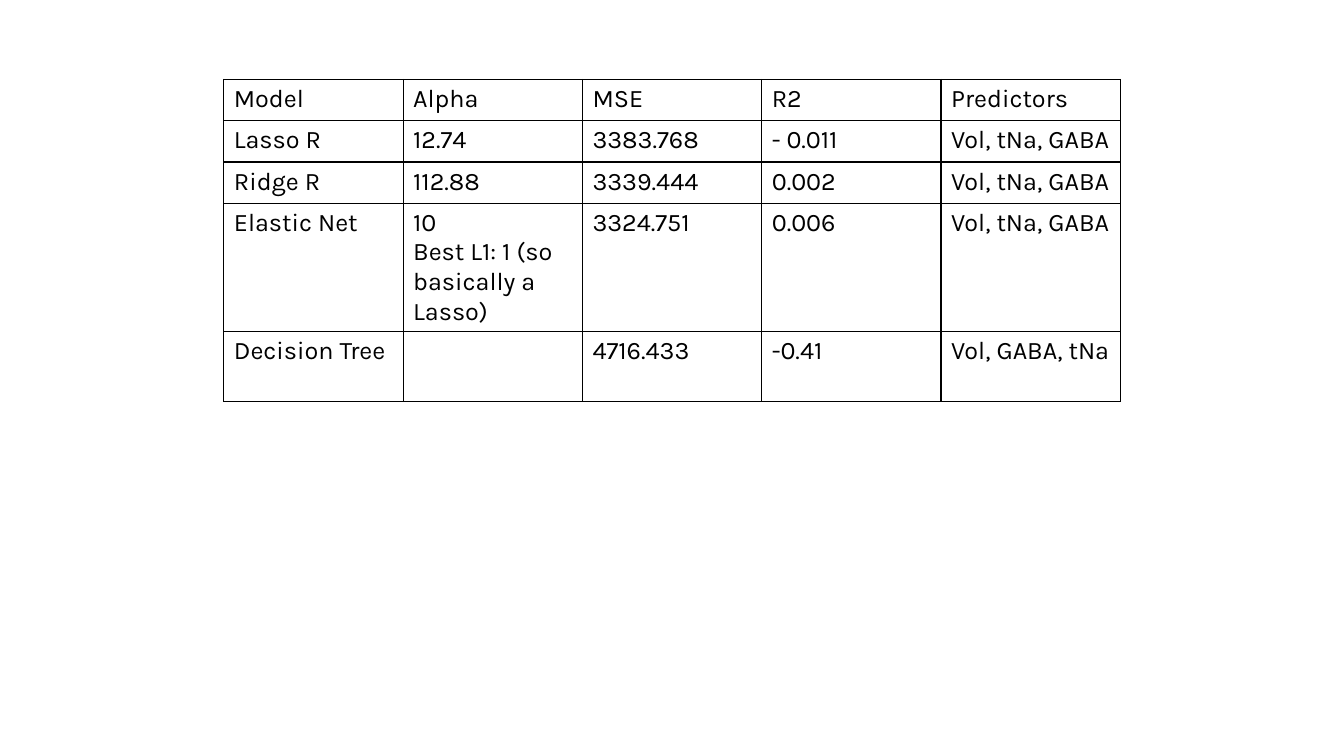
from pptx import Presentation
from pptx.dml.color import RGBColor
from pptx.oxml import parse_xml
from pptx.oxml.ns import nsdecls
from pptx.util import Cm, Pt

INK = "000000"
FONT = "Karla"
COLUMN_WIDTH = Cm(4.52)
ROW_HEIGHTS = [Cm(1.04), Cm(1.04), Cm(1.04), Cm(3.24), Cm(1.75)]
RESULTS = [
    ["Model", "Alpha", "MSE", "R2", "Predictors"],
    ["Lasso R", "12.74", "3383.768", "- 0.011", "Vol, tNa, GABA"],
    ["Ridge R", "112.88", "3339.444", "0.002", "Vol, tNa, GABA"],
    ["Elastic Net", "10\nBest L1: 1 (so basically a Lasso)", "3324.751", "0.006", "Vol, tNa, GABA"],
    ["Decision Tree", "", "4716.433", "-0.41", "Vol, GABA, tNa"],
]


def add_borders(cell, color):
    properties = cell._tc.get_or_add_tcPr()
    for side in ("lnL", "lnR", "lnT", "lnB"):
        properties.append(parse_xml(
            f'<a:{side} {nsdecls("a")} w="{Pt(1)}"><a:solidFill>'
            f'<a:srgbClr val="{color}"/></a:solidFill></a:{side}>'))


presentation = Presentation()
presentation.slide_width = Cm(33.87)
presentation.slide_height = Cm(19.05)
slide = presentation.slides.add_slide(presentation.slide_layouts[6])

column_count = len(RESULTS[0])
table = slide.shapes.add_table(
    len(RESULTS), column_count, Cm(5.64), Cm(2),
    COLUMN_WIDTH * column_count, sum(ROW_HEIGHTS)).table
table.first_row = False
table.horz_banding = False

for column in table.columns:
    column.width = COLUMN_WIDTH

for row, height, values in zip(table.rows, ROW_HEIGHTS, RESULTS):
    row.height = height
    for cell, value in zip(row.cells, values):
        add_borders(cell, INK)
        cell.fill.background()
        if not value:
            continue
        for index, line in enumerate(value.split("\n")):
            text_frame = cell.text_frame
            paragraph = text_frame.add_paragraph() if index else text_frame.paragraphs[0]
            run = paragraph.add_run()
            run.text = line
            run.font.name = FONT
            run.font.size = Pt(18)
            run.font.color.rgb = RGBColor.from_string(INK)

presentation.save("out.pptx")
